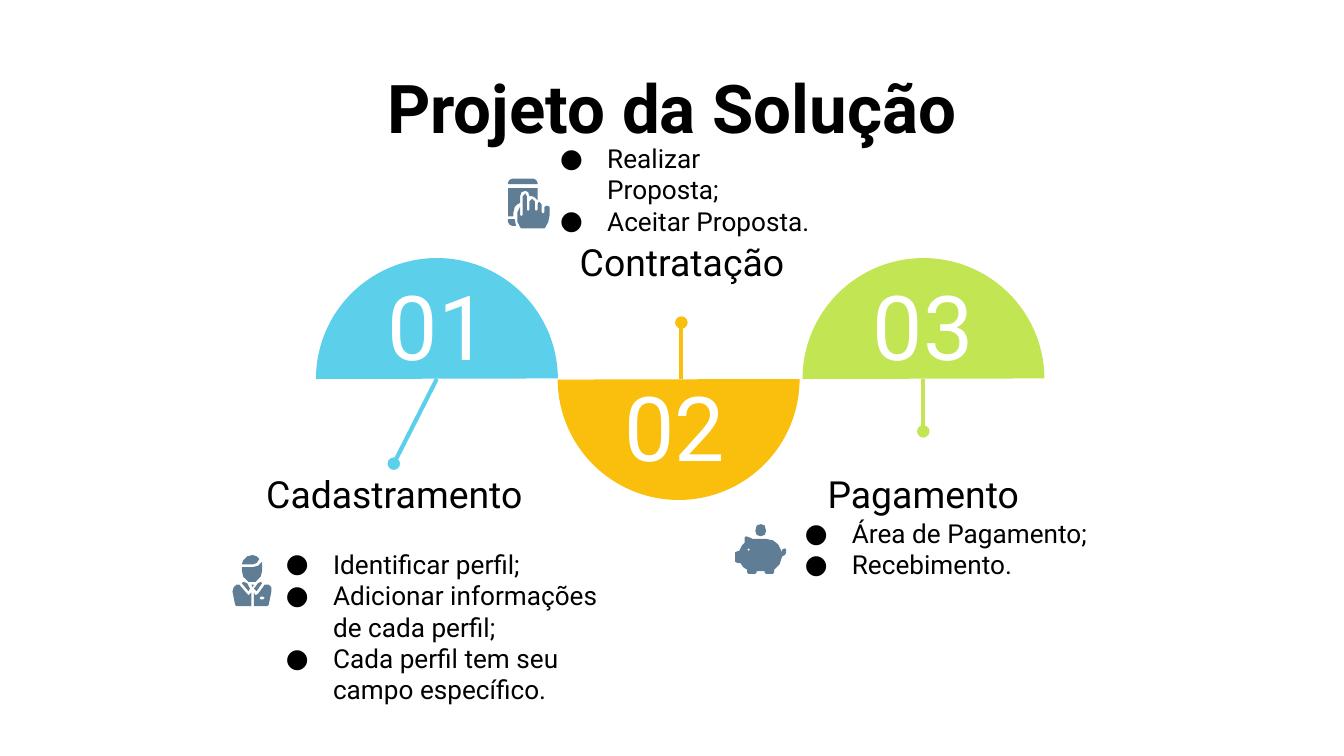
from dataclasses import dataclass

from lxml import etree
from pptx import Presentation
from pptx.dml.color import RGBColor
from pptx.enum.shapes import MSO_CONNECTOR, MSO_SHAPE
from pptx.enum.text import MSO_ANCHOR, PP_ALIGN
from pptx.oxml.ns import qn
from pptx.util import Inches, Pt

CHORD = MSO_SHAPE.CHORD
STRAIGHT = MSO_CONNECTOR.STRAIGHT
TOP, MIDDLE, BOTTOM = MSO_ANCHOR.TOP, MSO_ANCHOR.MIDDLE, MSO_ANCHOR.BOTTOM
LEFT, CENTER = PP_ALIGN.LEFT, PP_ALIGN.CENTER

BLACK = RGBColor(0x00, 0x00, 0x00)
WHITE = RGBColor(0xFF, 0xFF, 0xFF)
BLUE = RGBColor(0x5C, 0xD0, 0xEB)
YELLOW = RGBColor(0xFA, 0xBF, 0x0D)
GREEN = RGBColor(0xC1, 0xE5, 0x53)
SLATE = RGBColor(0x5F, 0x7D, 0x95)

FONT = "Roboto"
SLIDE_WIDTH = Inches(10)
SLIDE_HEIGHT = SLIDE_WIDTH * 9 // 16
ICON_UNIT = Inches(0.01)
DOME_TOP, DOME_SIZE, BASELINE = 1.92, 1.8, 2.82

Contour = list[tuple[int, int]]
Part = list[Contour]  # outline first, then any holes


@dataclass
class Box:
    left: float
    top: float
    width: float
    height: float
    anchor: MSO_ANCHOR = TOP


@dataclass
class Step:
    number: str
    heading: str
    items: list[str]
    color: RGBColor
    dome_left: float
    rotation: int
    number_box: Box
    heading_box: Box
    items_box: Box
    pin_start: float
    pin_end: tuple[float, float]
    icon: list[Part]


# Icon outlines, in hundredths of an inch
PERSON: list[Part] = [
    [[(194, 433), (192, 434), (189, 438), (191, 440), (195, 434)]],
    [[(195, 418), (192, 421), (188, 422), (180, 422), (180, 425), (181, 429),
      (185, 433), (188, 433), (190, 433), (194, 429), (195, 425), (195, 421)]],
    [[(188, 413), (184, 414), (181, 417), (180, 420), (188, 420), (191, 419),
      (193, 416), (191, 414)]],
    [[(178, 435), (176, 435), (174, 437), (173, 440), (175, 450), (176, 451),
      (187, 451), (187, 441), (185, 443), (184, 442)]],
    [[(197, 435), (192, 442), (190, 443), (189, 441), (189, 451), (199, 451),
      (200, 450), (202, 440), (202, 437), (200, 435)],
     [(196, 444), (197, 445), (196, 446), (194, 446), (193, 445), (194, 444)]],
    [[(181, 433), (180, 434), (185, 440), (186, 438), (184, 434)]],
    [[(187, 435), (188, 437), (189, 435)]],
]
PHONE: list[Part] = [
    [[(378, 163), (378, 165), (379, 167), (381, 168), (384, 168), (383, 163)]],
    [[(378, 140), (378, 161), (382, 161), (382, 158), (383, 154), (385, 152),
      (387, 151), (387, 146), (388, 143), (391, 142), (393, 143), (394, 146),
      (396, 146), (398, 147), (400, 149), (400, 140)]],
    [[(381, 133), (379, 134), (378, 136), (378, 137), (400, 137), (400, 136),
      (399, 134), (397, 133)]],
    [[(391, 144), (389, 146), (389, 160), (388, 161), (387, 160), (387, 154),
      (385, 158), (385, 160), (385, 165), (387, 169), (388, 170), (405, 170),
      (406, 169), (408, 165), (409, 160), (409, 154), (407, 153), (405, 154),
      (405, 158), (404, 159), (403, 158), (403, 152), (401, 150), (400, 152),
      (400, 156), (399, 157), (398, 156), (398, 150), (396, 148), (394, 150),
      (394, 156), (393, 157), (392, 156), (392, 146)]],
]
PIGGY_BANK: list[Part] = [
    [[(566, 390), (563, 391), (562, 395), (563, 398), (566, 399), (569, 398),
      (570, 395), (569, 391)]],
    [[(555, 399), (554, 400), (554, 404), (552, 406), (550, 410), (549, 410),
      (547, 411), (547, 418), (549, 419), (551, 419), (553, 422), (556, 424),
      (556, 426), (557, 427), (562, 427), (563, 426), (563, 425), (569, 425),
      (569, 426), (570, 427), (575, 427), (576, 426), (576, 424), (580, 420),
      (582, 414), (584, 413), (585, 411), (585, 409), (584, 408), (582, 409),
      (582, 411), (579, 405), (575, 402), (570, 401), (562, 401), (560, 401),
      (558, 400)],
     [(557, 408), (558, 409), (557, 410), (556, 409)]],
]

STEPS = [
    Step("01", "Cadastramento",
         ["Identificar perfil;", "Adicionar informações de cada perfil;",
          "Cada perfil tem seu campo específico."],
         BLUE, 2.35, 135, Box(2.31, 2.17, 1.9, 0.49, MIDDLE),
         Box(1.66, 3.45, 2.55, 0.49, BOTTOM), Box(1.88, 3.98, 2.84, 0.68),
         3.25, (2.93, 3.45), PERSON),
    Step("02", "Contratação", ["Realizar Proposta;", "Aceitar Proposta."],
         YELLOW, 4.15, 315, Box(4.07, 2.92, 1.9, 0.49, MIDDLE),
         Box(4.09, 1.68, 1.97, 0.49), Box(3.92, 1.18, 2.26, 0.68, BOTTOM),
         5.07, (5.07, 2.4), PHONE),
    Step("03", "Pagamento", ["Área de Pagamento;", "Recebimento."],
         GREEN, 5.97, 135, Box(5.92, 2.17, 1.9, 0.49, MIDDLE),
         Box(5.92, 3.45, 1.9, 0.49, BOTTOM), Box(5.74, 3.75, 2.6, 0.68),
         6.87, (6.87, 3.21), PIGGY_BANK),
]


def add_bullet(paragraph, size: int) -> None:
    properties = paragraph._p.get_or_add_pPr()
    properties.set("marL", str(Inches(0.5)))
    properties.set("indent", str(Inches(-0.35)))
    color = etree.SubElement(properties, qn("a:buClr"))
    etree.SubElement(color, qn("a:srgbClr")).set("val", str(BLACK))
    etree.SubElement(properties, qn("a:buSzPts")).set("val", str(size * 100))
    etree.SubElement(properties, qn("a:buFont")).set("typeface", FONT)
    etree.SubElement(properties, qn("a:buChar")).set("char", "●")


def add_text(slide, box: Box, lines: list[str], size: int, color: RGBColor = BLACK,
             bold: bool = False, bullets: bool = False) -> None:
    shape = slide.shapes.add_textbox(Inches(box.left), Inches(box.top),
                                     Inches(box.width), Inches(box.height))
    frame = shape.text_frame
    frame.word_wrap = True
    frame.vertical_anchor = box.anchor
    frame.margin_left = frame.margin_right = Inches(0.1)
    frame.margin_top = frame.margin_bottom = Inches(0.1)
    frame.text = "\n".join(lines)
    for paragraph in frame.paragraphs:
        paragraph.alignment = LEFT if bullets else CENTER
        if bullets:
            add_bullet(paragraph, size)
        font = paragraph.runs[0].font
        font.name, font.size, font.bold = FONT, Pt(size), bold
        font.color.rgb = color


def paint(shape, color: RGBColor) -> None:
    shape.shadow.inherit = False
    shape.fill.solid()
    shape.fill.fore_color.rgb = color
    shape.line.fill.background()


def add_dome(slide, step: Step) -> None:
    dome = slide.shapes.add_shape(CHORD, Inches(step.dome_left), Inches(DOME_TOP),
                                  Inches(DOME_SIZE), Inches(DOME_SIZE))
    dome.adjustments[0] = 27
    dome.adjustments[1] = 134.83
    dome.rotation = step.rotation
    paint(dome, step.color)


def add_pin(slide, step: Step) -> None:
    end_x, end_y = step.pin_end
    pin = slide.shapes.add_connector(STRAIGHT, Inches(step.pin_start), Inches(BASELINE),
                                     Inches(end_x), Inches(end_y))
    pin.line.color.rgb = step.color
    pin.line.width = Pt(2.25)
    etree.SubElement(pin.line._get_or_add_ln(), qn("a:tailEnd")).set("type", "oval")
    etree.SubElement(pin._element.spPr, qn("a:effectLst"))


def add_icon(slide, parts: list[Part]) -> None:
    group = slide.shapes.add_group_shape()
    for outline, *holes in parts:
        builder = group.shapes.build_freeform(*outline[0], scale=float(ICON_UNIT))
        builder.add_line_segments(outline[1:], close=True)
        for hole in holes:
            builder.move_to(*hole[0])
            builder.add_line_segments(hole[1:], close=True)
        paint(builder.convert_to_shape(), SLATE)


def main() -> None:
    presentation = Presentation()
    presentation.slide_width = SLIDE_WIDTH
    presentation.slide_height = SLIDE_HEIGHT
    slide = presentation.slides.add_slide(presentation.slide_layouts[6])

    # Title
    add_text(slide, Box(0.72, 0.39, 8.56, 0.63), ["Projeto da Solução"], 36, bold=True)

    # Steps along the wave
    for step in STEPS:
        add_dome(slide, step)
        add_text(slide, step.items_box, step.items, 14, bullets=True)
        add_text(slide, step.heading_box, [step.heading], 20)
        add_text(slide, step.number_box, [step.number], 48, WHITE)
        add_pin(slide, step)
        add_icon(slide, step.icon)

    presentation.save("out.pptx")


if __name__ == "__main__":
    main()
